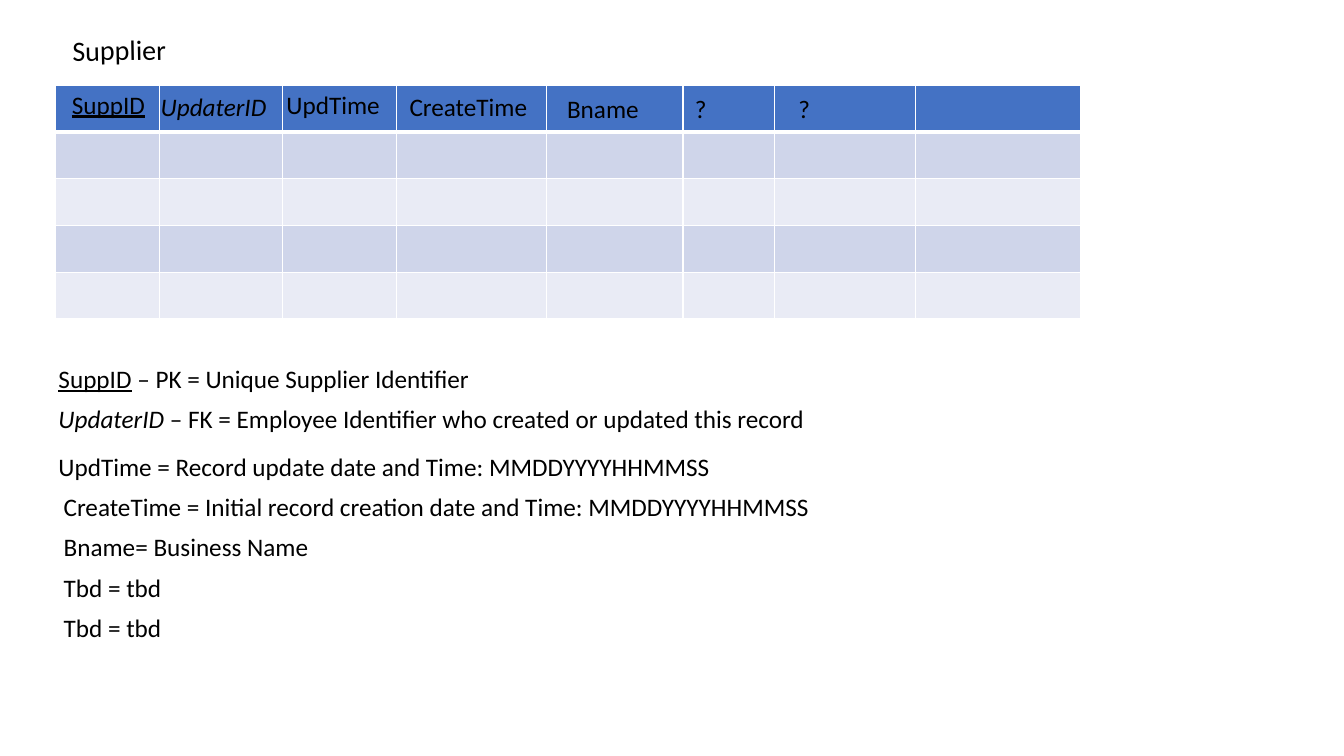
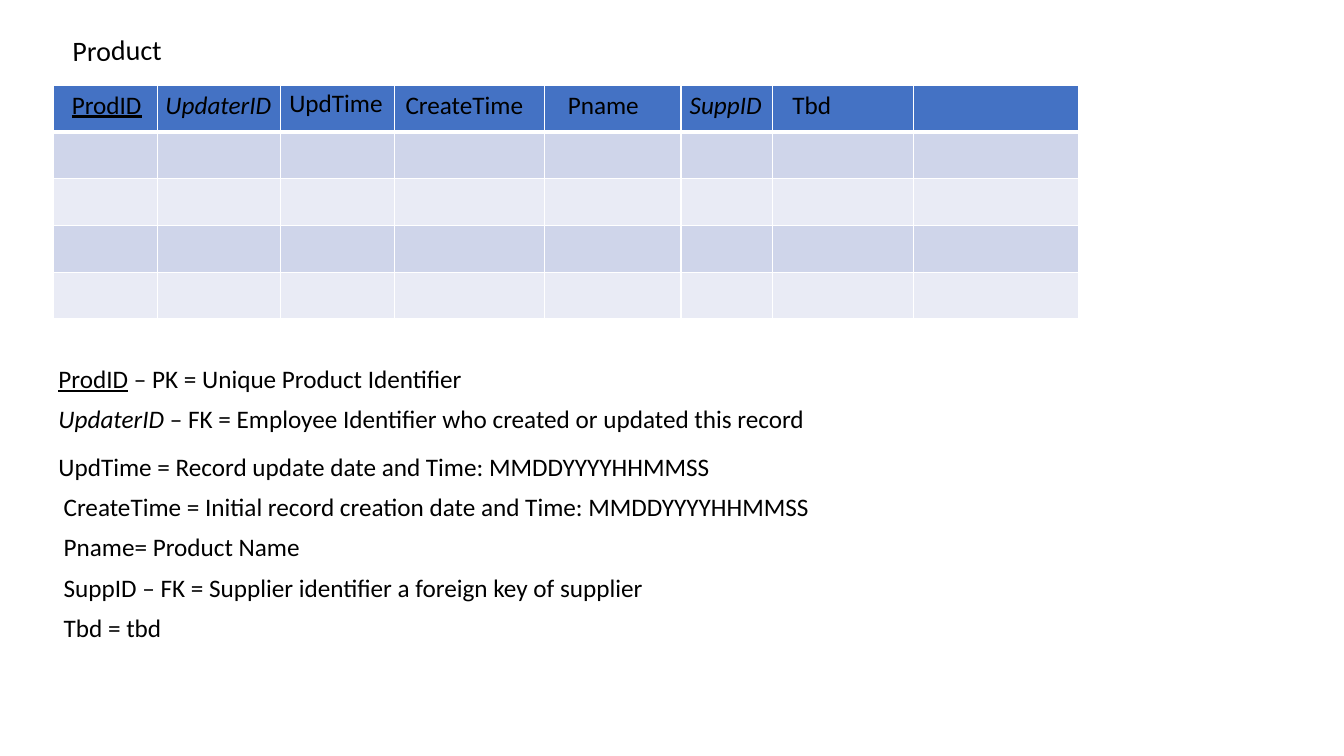
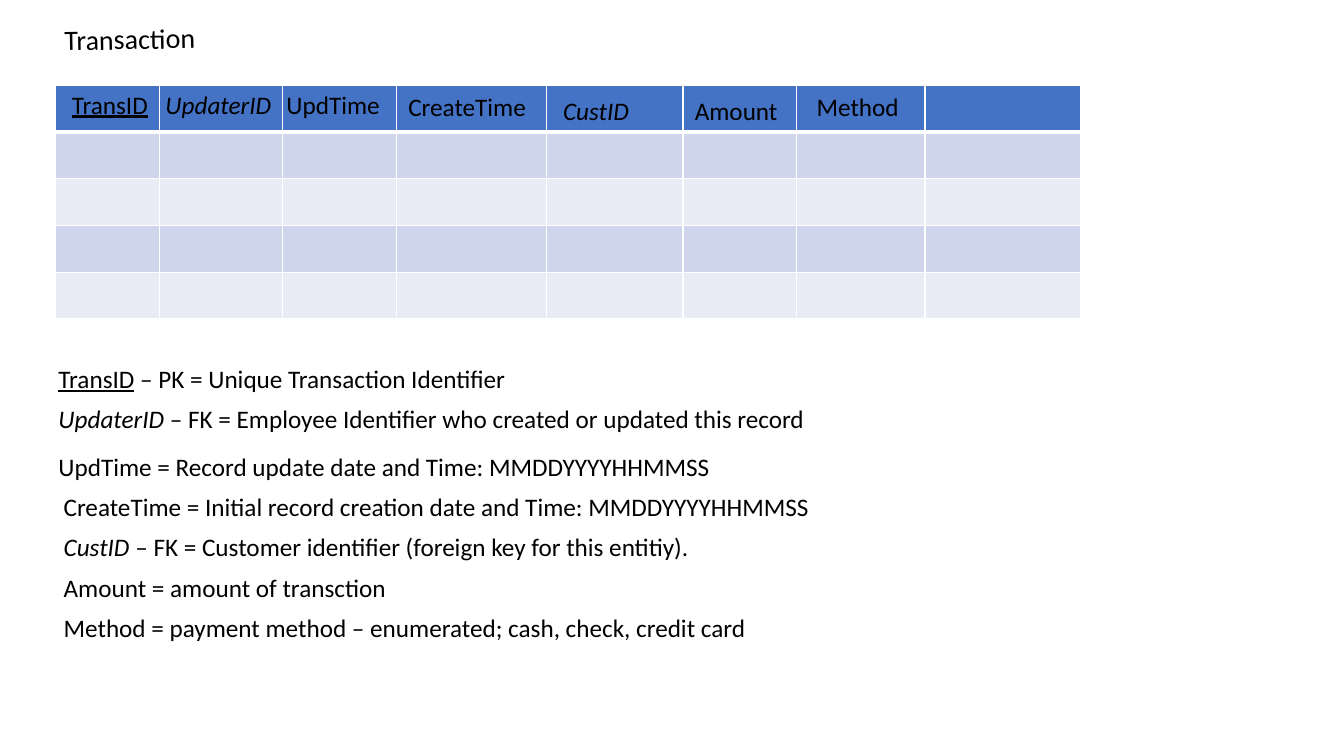
from lxml.etree import SubElement
from pptx import Presentation
from pptx.dml.color import RGBColor
from pptx.enum.text import MSO_ANCHOR, MSO_AUTO_SIZE, PP_ALIGN
from pptx.oxml.ns import qn
from pptx.util import Cm, Pt

COLORS = {
    "text": "000000",
    "header": "4472C4",
    "band_dark": "CFD5EA",
    "band_light": "E9EBF5",
    "border": "FFFFFF",
}
FONT = "Calibri"
TITLE_SIZE, TEXT_SIZE = 20, 18
ROW_COUNT, ROW_HEIGHT, TABLE_TOP = 5, 1.18, 2.14
THIN, THICK = 1, 3
SHARED_INDENT = 0.13

# Each column: heading, style, left margin, top margin
# Each definition: term, style, explanation
COMMON_DEFINITIONS = [
    ("UpdaterID", "italic", " – FK = Employee Identifier who created or updated this record"),
    ("UpdTime", "plain", " = Record update date and Time: MMDDYYYYHHMMSS"),
    ("CreateTime", "plain", " = Initial record creation date and Time: MMDDYYYYHHMMSS"),
]
ENTITIES = [
    {
        "name": "Supplier",
        "title_box": (1.57, 0.69, 3.56, 1.12),
        "table_left": 1.4,
        "widths": [2.62, 3.1, 2.87, 3.79, 3.43, 2.31, 3.56, 4.14],
        "columns": [
            ("SuppID", "underline", 0.41, 0.13),
            ("UpdaterID", "italic", 0.03, 0.18),
            ("UpdTime", "plain", 0.1, 0.13),
            ("CreateTime", "plain", 0.33, 0.2),
            ("Bname", "plain", 0.51, 0.25),
            ("?", "plain", 0.3, 0.25),
            ("?", "plain", 0.6, 0.23),
        ],
        "key": ("SuppID", "underline", " – PK = Unique Supplier Identifier"),
        "definitions": [
            ("Bname", "plain", "= Business Name"),
            ("Tbd", "plain", " = tbd"),
            ("Tbd", "plain", " = tbd"),
        ],
    },
    {
        "name": "Product",
        "title_box": (1.57, 0.69, 3.56, 1.12),
        "table_left": 1.35,
        "widths": [2.62, 3.1, 2.87, 3.79, 3.43, 2.31, 3.56, 4.14],
        "columns": [
            ("ProdID", "underline", 0.46, 0.13),
            ("UpdaterID", "italic", 0.2, 0.15),
            ("UpdTime", "plain", 0.22, 0.1),
            ("CreateTime", "plain", 0.28, 0.15),
            ("Pname", "plain", 0.58, 0.15),
            ("SuppID", "italic", 0.22, 0.15),
            ("Tbd", "plain", 0.5, 0.15),
        ],
        "key": ("ProdID", "underline", " – PK = Unique Product Identifier"),
        "definitions": [
            ("Pname", "plain", "= Product Name"),
            ("SuppID", "plain", " – FK = Supplier identifier a foreign key of supplier"),
            ("Tbd", "plain", " = tbd"),
        ],
    },
    {
        "name": "Transaction",
        "title_box": (1.37, 0.41, 4.57, 1.12),
        "table_left": 1.4,
        "widths": [2.62, 3.1, 2.87, 3.79, 3.43, 2.87, 3.23, 3.91],
        "columns": [
            ("TransID", "underline", 0.41, 0.13),
            ("UpdaterID", "italic", 0.15, 0.15),
            ("UpdTime", "plain", 0.1, 0.15),
            ("CreateTime", "plain", 0.3, 0.2),
            ("CustID", "italic", 0.41, 0.28),
            ("Amount", "plain", 0.3, 0.28),
            ("Method", "plain", 0.5, 0.2),
        ],
        "key": ("TransID", "underline", " – PK = Unique Transaction Identifier"),
        "definitions": [
            ("CustID", "italic", " – FK = Customer identifier (foreign key for this entitiy)."),
            ("Amount", "plain", " = amount of transction"),
            ("Method", "plain", " = payment method – enumerated; cash, check, credit card"),
        ],
    },
]


def add_styled_run(paragraph, text, style="plain", size=TEXT_SIZE):
    run = paragraph.add_run()
    run.text = text
    run.font.name = FONT
    run.font.size = Pt(size)
    run.font.bold = False
    run.font.italic = style == "italic"
    run.font.underline = style == "underline"
    run.font.color.rgb = RGBColor.from_string(COLORS["text"])


def set_borders(cell, top, bottom):
    """Draw all four cell borders; top and bottom are widths in points."""
    properties = cell._tc.get_or_add_tcPr()
    for side, width in (("L", THIN), ("R", THIN), ("T", top), ("B", bottom)):
        line = SubElement(properties, qn(f"a:ln{side}"), w=str(Pt(width)))
        fill = SubElement(line, qn("a:solidFill"))
        SubElement(fill, qn("a:srgbClr"), val=COLORS["border"])


prs = Presentation()
prs.slide_width, prs.slide_height = Cm(33.87), Cm(19.05)
title_and_content = prs.slide_layouts[1]

for entity in ENTITIES:
    slide = prs.slides.add_slide(title_and_content)

    title = slide.shapes.title
    title.left, title.top, title.width, title.height = map(Cm, entity["title_box"])
    title.rotation = 359
    title.text_frame.vertical_anchor = MSO_ANCHOR.TOP
    title.text_frame.auto_size = MSO_AUTO_SIZE.NONE
    heading = title.text_frame.paragraphs[0]
    heading.alignment = PP_ALIGN.LEFT
    add_styled_run(heading, entity["name"], size=TITLE_SIZE)

    widths = entity["widths"]
    table = slide.shapes.add_table(
        ROW_COUNT, len(widths), Cm(entity["table_left"]), Cm(TABLE_TOP),
        Cm(sum(widths)), Cm(ROW_COUNT * ROW_HEIGHT)).table
    for column, width in zip(table.columns, widths):
        column.width = Cm(width)
    for index, row in enumerate(table.rows):
        row.height = Cm(ROW_HEIGHT)
        band = "header" if index == 0 else "band_dark" if index % 2 else "band_light"
        for cell in row.cells:
            set_borders(cell, top=THICK if index == 1 else THIN,
                        bottom=THICK if index == 0 else THIN)
            cell.fill.solid()
            cell.fill.fore_color.rgb = RGBColor.from_string(COLORS[band])
    for cell, (name, style, left, top) in zip(table.rows[0].cells, entity["columns"]):
        cell.margin_left, cell.margin_top = Cm(left), Cm(top)
        cell.margin_right = cell.margin_bottom = 0
        add_styled_run(cell.text_frame.paragraphs[0], name, style)

    glossary = slide.placeholders[1]
    glossary.left, glossary.top = Cm(1.22), Cm(9.02)
    glossary.width, glossary.height = Cm(23.2), Cm(7.4)
    glossary.text_frame.auto_size = MSO_AUTO_SIZE.NONE
    definitions = [entity["key"], *COMMON_DEFINITIONS, *entity["definitions"]]
    for index, (term, style, explanation) in enumerate(definitions):
        frame = glossary.text_frame
        paragraph = frame.add_paragraph() if index else frame.paragraphs[0]
        paragraph.space_before = Pt(0 if index == 0 else 12.5 if index == 2 else 7.2)
        properties = paragraph._p.get_or_add_pPr()
        properties.set("marL", str(Cm(SHARED_INDENT if index > 2 else 0)))
        properties.set("indent", "0")
        SubElement(properties, qn("a:buNone"))
        add_styled_run(paragraph, term, style)
        add_styled_run(paragraph, explanation)

prs.save("out.pptx")
